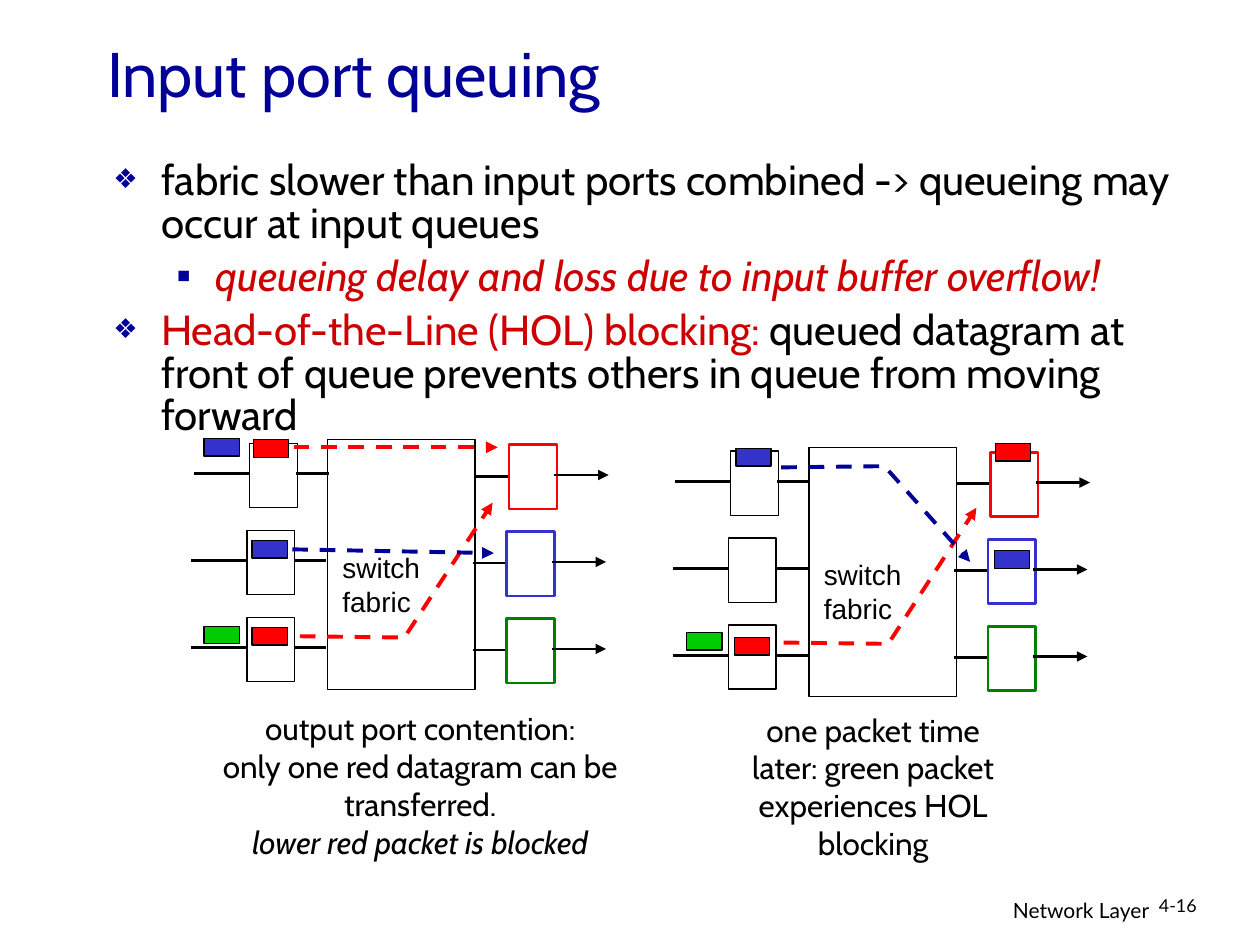
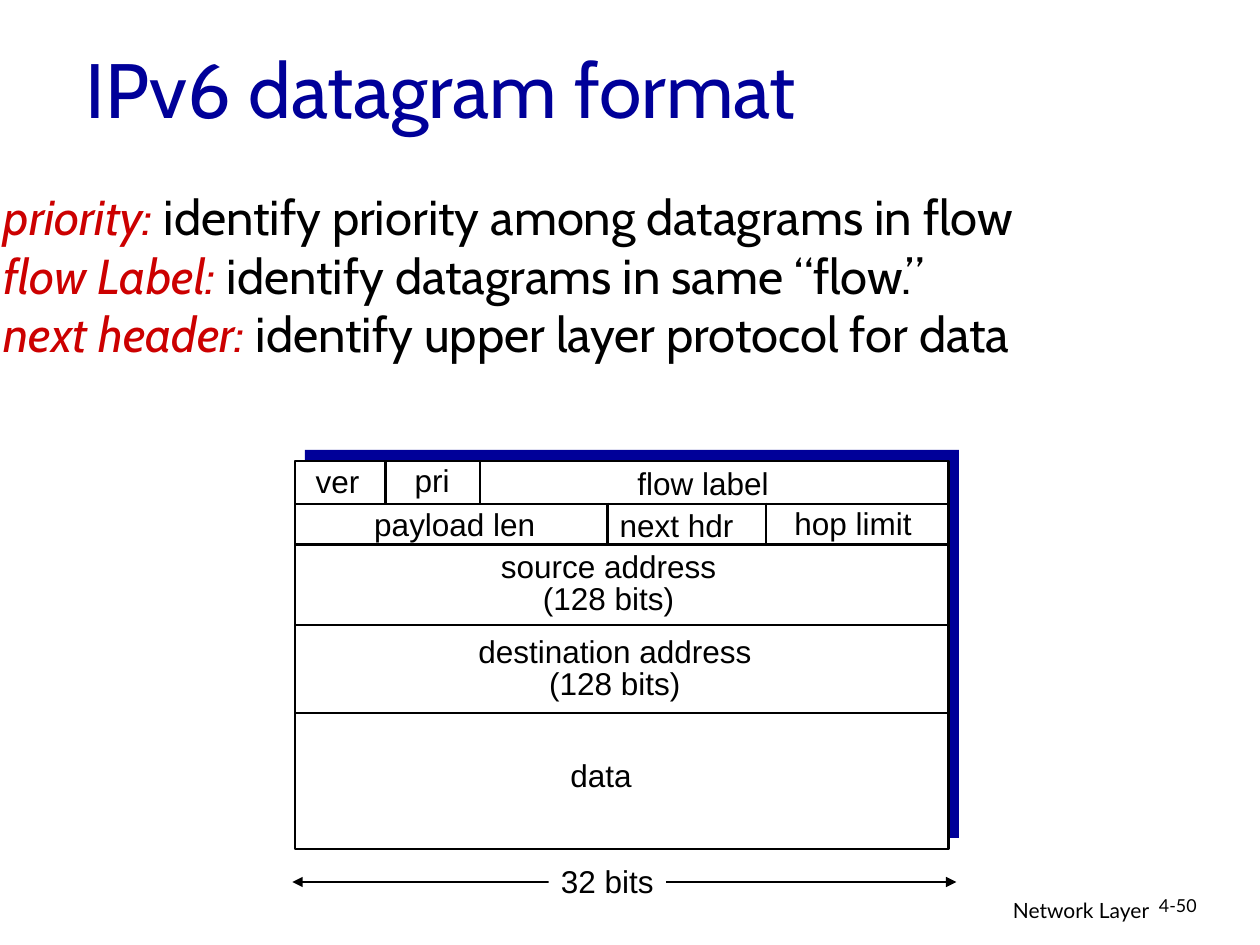
import pptx
import pptx.util
import pptx.dml.color
import pptx.enum.dml
import pptx.enum.shapes
import pptx.enum.text
import pptx.oxml.ns
from dataclasses import dataclass
from lxml import etree

ALIGN = pptx.enum.text.PP_ALIGN
DASH = pptx.enum.dml.MSO_LINE.DASH


@dataclass(frozen=True)
class Theme:
    black: str = "000000"
    white: str = "FFFFFF"
    navy: str = "000099"
    accent: str = "CC0000"
    red: str = "FF0000"
    blue: str = "3333CC"
    green: str = "008000"
    lime: str = "00CC00"
    main_font: str = "Cabin"
    label_font: str = "Arial"
    footer_font: str = "Lato"
    body: float = 24
    lead: float = 28
    caption: float = 18
    label: float = 16
    footer: float = 12
    number: float = 10.2
    thin: float = 0.75
    line: float = 1.5
    route: float = 2.25


T = Theme()
COLUMNS, ROWS = 10, 7.5
CELL = pptx.util.Inches(1)  # the slide is a grid of 10 by 7.5 square cells


def grid(*lengths):
    return [round(n * CELL) for n in lengths]


def rgb(color):
    return pptx.dml.color.RGBColor.from_string(color)


def add_xml(parent, tag, **attributes):
    return etree.SubElement(parent, pptx.oxml.ns.qn(tag), attributes)


# ---- text ----
def write(tf, paragraphs, font=T.main_font, size=T.caption, color=T.black,
          align=ALIGN.LEFT, spacing=None, wrap=True):
    """A paragraph is a string or a list of (text, color, italic) runs."""
    tf.word_wrap = wrap
    tf.auto_size = pptx.enum.text.MSO_AUTO_SIZE.NONE
    for i, runs in enumerate(paragraphs):
        p = tf.paragraphs[0] if i == 0 else tf.add_paragraph()
        p.alignment = align
        if spacing:
            p.line_spacing = spacing
        for text, tint, italic in [(runs, color, False)] if isinstance(runs, str) else runs:
            r = p.add_run()
            r.text = text
            r.font.name, r.font.size = font, pptx.util.Pt(size)
            r.font.color.rgb = rgb(tint)
            r.font.italic = italic


def add_text(slide, box, paragraphs, fill=None, **style):
    sp = slide.shapes.add_textbox(*grid(*box))
    if fill:
        sp.fill.solid()
        sp.fill.fore_color.rgb = rgb(fill)
    write(sp.text_frame, paragraphs, **style)


def add_label(slide, center, top, *lines, width=1, **style):
    """Unwrapped label centred on a column."""
    add_text(slide, (center - width / 2, top, width, 0.4), lines, font=T.label_font,
             align=ALIGN.CENTER, wrap=False, **style)


def place(sp, box):
    sp.left, sp.top, sp.width, sp.height = grid(*box)


def add_bullet(p, char, margin, hang, size):
    pPr = p._p.get_or_add_pPr()
    pPr.set("marL", str(grid(margin)[0]))
    pPr.set("indent", str(grid(-hang)[0]))
    add_xml(add_xml(pPr, "a:buClr"), "a:srgbClr", val=T.navy)
    add_xml(pPr, "a:buSzPct", val=str(size * 1000))
    add_xml(pPr, "a:buChar", char=char)


# ---- shapes and lines ----
def add_box(slide, box, fill=T.white, line=T.black, width=T.thin):
    sp = slide.shapes.add_shape(pptx.enum.shapes.MSO_SHAPE.RECTANGLE, *grid(*box))
    sp.shadow.inherit = False
    sp.fill.solid()
    sp.fill.fore_color.rgb = rgb(fill)
    if line:
        sp.line.color.rgb = rgb(line)
        sp.line.width = pptx.util.Pt(width)
    else:
        sp.line.fill.background()


def style_line(sp, color, width, dash, ends):
    sp.line.color.rgb = rgb(color)
    sp.line.width = pptx.util.Pt(width)
    if dash:
        sp.line.dash_style = dash
    for end in ends:
        add_xml(sp.line._get_or_add_ln(), f"a:{end}End", type="triangle")


def add_line(slide, x1, y1, x2, y2, color=T.black, width=T.line, dash=None, ends=()):
    cx = slide.shapes.add_connector(pptx.enum.shapes.MSO_CONNECTOR.STRAIGHT,
                                    *grid(x1, y1, x2, y2))
    style_line(cx, color, width, dash, ends)
    add_xml(cx._element.spPr, "a:effectLst")


def add_route(slide, points, color):
    """Dashed arrow through two or more points."""
    if len(points) == 2:
        add_line(slide, *points[0], *points[1], color, T.route, DASH, ["tail"])
        return
    start, *rest = [grid(*point) for point in points]
    builder = slide.shapes.build_freeform(*start)
    builder.add_line_segments(rest, close=False)
    sp = builder.convert_to_shape()
    sp.shadow.inherit = False
    sp.fill.background()
    style_line(sp, color, T.route, DASH, ["tail"])


# ---- frame shared by the slides ----
def start_slide(prs, layout, title, box, size, number):
    slide = prs.slides.add_slide(prs.slide_layouts[layout])
    place(slide.shapes.title, box)
    write(slide.shapes.title.text_frame, [title], size=size, color=T.navy)
    add_text(slide, (6.05, 7.07, 3.17, 0.31), ["Network Layer"], font=T.footer_font,
             size=T.footer, align=ALIGN.RIGHT)
    add_text(slide, (9.1, 7.07, 0.74, 0.3), [number], font=T.footer_font,
             size=T.number, spacing=0.9)
    return slide


# ---- switch diagram ----
def add_switch(slide, dx, dy, packets, routes):
    add_box(slide, (2.6 + dx, 3.49 + dy, 1.17, 1.98))
    for row, color in enumerate([T.red, T.blue, T.green]):
        x = dx + (0.02 if row == 0 else 0)
        y = 3.52 + dy + 0.69 * row
        add_box(slide, (1.96 + x, y, 0.38, 0.51))
        add_box(slide, (4.02 + x, y + 0.01, 0.38, 0.51), line=color, width=T.line)
        for x1, x2, drop, ends in [(1.52, 1.96, 0.24, []), (2.33, 2.59, 0.24, []),
                                   (3.75, 4.01, 0.26, []), (4.38, 4.81, 0.25, ["tail"])]:
            add_line(slide, x1 + x, y + drop, x2 + x, y + drop, ends=ends)
    add_text(slide, (2.62 + dx, 4.32 + dy, 1.1, 0.64), ["switch", "fabric"],
             font=T.label_font, size=T.label)
    for x, y, color in packets:
        add_box(slide, (x, y, 0.28, 0.14), fill=color)
    for points, color in routes:
        add_route(slide, points, color)


def queuing_slide(prs):
    slide = start_slide(prs, 1, "Input port queuing", (0.75, 0.32, 8.5, 0.5), 36, "4-16")
    body = slide.placeholders[1]
    place(body, (0.8, 1.23, 8.86, 2.9))
    write(body.text_frame, [
        "fabric slower than input ports combined -> queueing may occur at input queues",
        [("queueing delay and loss due to input buffer overflow!", T.accent, True)],
        [("Head-of-the-Line (HOL) blocking:", T.accent, False),
         (" queued datagram at front of queue prevents others in queue from moving forward",
          T.black, False)],
    ], size=T.body, spacing=0.85)
    for i, p in enumerate(body.text_frame.paragraphs):
        p.level = i % 2
        p.space_before = pptx.util.Pt(6 if i else 0)
        add_bullet(p, *[("❖", 0.38, 0.38, 65), ("▪", 0.81, 0.31, 100)][p.level])

    # contention, then one packet time later
    add_switch(slide, 0, 0,
               [(2.01, 3.49, T.red), (2, 4.29, T.blue), (2, 4.98, T.red),
                (1.62, 3.48, T.blue), (1.62, 4.97, T.lime)],
               [([(2.33, 3.55), (3.95, 3.55)], T.red),
                ([(2.38, 5.05), (3.21, 5.06), (3.91, 3.99)], T.red),
                ([(2.32, 4.36), (3.92, 4.39)], T.navy)])
    add_switch(slide, 3.82, 0.06,
               [(7.9, 3.52, T.red), (5.84, 3.56, T.blue), (5.83, 5.06, T.red),
                (5.45, 5.02, T.lime), (7.89, 4.37, T.blue)],
               [([(6.22, 5.1), (7.05, 5.11), (7.75, 4.03)], T.red),
                ([(6.2, 3.71), (7.02, 3.7), (7.7, 4.46)], T.navy)])

    add_text(slide, (1.48, 5.58, 3.71, 1.3),
             ["output port contention:", "only one red datagram can be transferred.",
              [("lower red packet is blocked", T.black, True)]], align=ALIGN.CENTER)
    add_text(slide, (5.71, 5.59, 2.44, 1.3),
             ["one packet time later: green packet experiences HOL blocking"],
             align=ALIGN.CENTER)


def datagram_slide(prs):
    slide = start_slide(prs, 5, "IPv6 datagram format", (0.58, 0.2, 8.5, 0.99), 44, "4-50")
    fields = [("priority:", " identify priority among datagrams in flow"),
              ("flow Label:", " identify datagrams in same “flow.”"),
              ("next header:", " identify upper layer protocol for data")]
    add_text(slide, (-0.07, 1.43, 9.36, 1.5),
             [[(name, T.accent, True), (use, T.black, False)] for name, use in fields],
             size=T.lead)

    # header frame with its offset backing
    left, top, width, height = 2.34, 3.66, 5.19, 3.08
    add_box(slide, (left + 0.08, top - 0.09, width, height), fill=T.navy, line=None)
    add_box(slide, (left, top, width, height), width=T.line)
    for y in (4, 4.32, 4.96, 5.66):
        add_line(slide, left, y, left + width, y)
    for x, y in [(3.06, top), (3.81, top), (4.82, 3.99), (6.08, 3.99)]:
        add_line(slide, x, y, x, y + 0.33)

    # field names
    for center, y, name in [(2.68, 3.62, "ver"), (3.43, 3.61, "pri"),
                            (5.58, 3.63, "flow label"), (3.61, 3.96, "payload len"),
                            (5.37, 3.97, "next hdr"), (6.77, 3.95, "hop limit"),
                            (4.77, 5.95, "data")]:
        add_label(slide, center, y, name)
    for center, y, name in [(4.83, 4.34, "source address"), (4.88, 5.01, "destination address")]:
        add_label(slide, center, y, name, "(128 bits)", width=2.4, spacing=0.85)

    # width marker
    add_line(slide, 2.32, 7, 7.59, 7, width=T.thin, ends=["head", "tail"])
    add_label(slide, 4.82, 6.79, "32 bits", width=0.93, fill=T.white)


def main():
    prs = pptx.Presentation()
    prs.slide_width, prs.slide_height = grid(COLUMNS, ROWS)
    queuing_slide(prs)
    datagram_slide(prs)
    prs.save("out.pptx")


if __name__ == "__main__":
    main()
